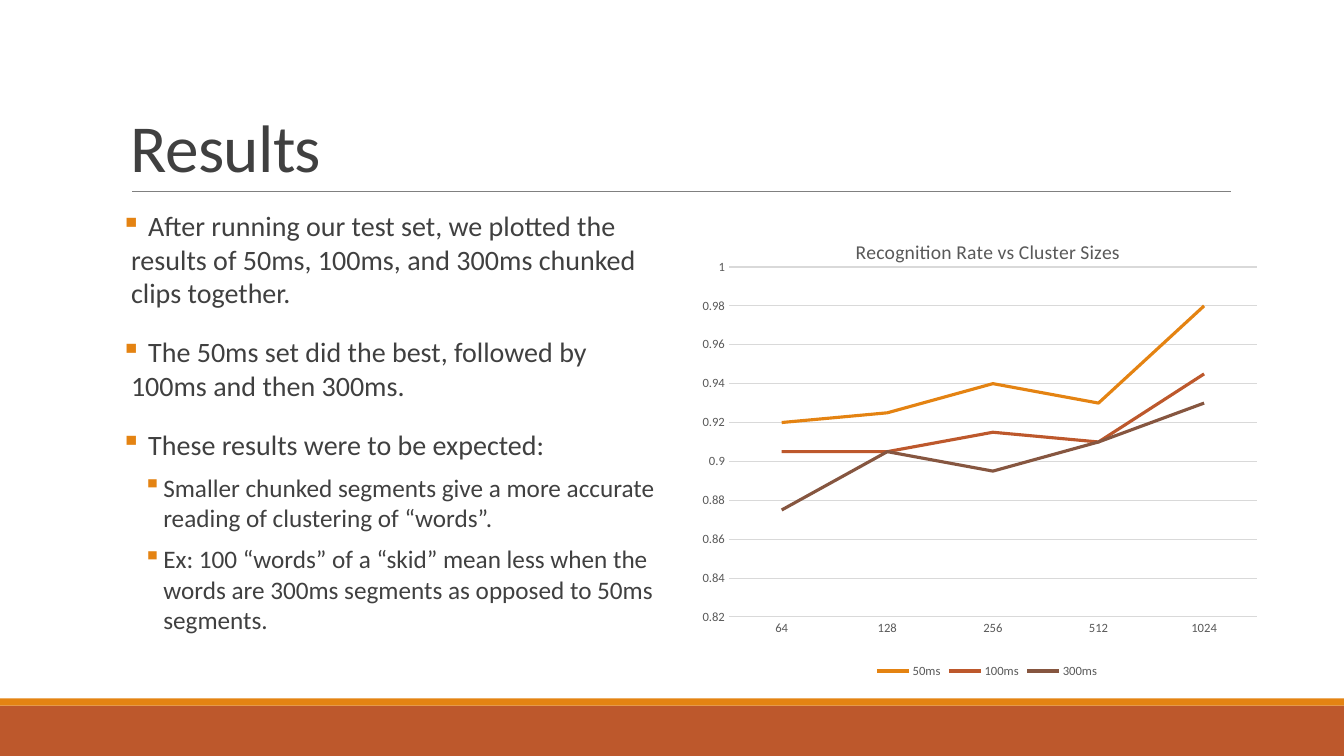
"""Build the Results slide: findings beside a chart of recognition rates."""
from pptx import Presentation
from pptx.chart.data import CategoryChartData as Data
from pptx.dml.color import RGBColor as RGB
from pptx.enum.chart import XL_CHART_TYPE as KIND, XL_LEGEND_POSITION as SPOT, XL_TICK_MARK as TICK
from pptx.enum.shapes import MSO_CONNECTOR as CONN, MSO_SHAPE as SHAPE
from pptx.enum.text import MSO_ANCHOR as ANCHOR
from pptx.oxml import parse_xml
from pptx.oxml.ns import nsdecls, qn
from pptx.util import Emu, Pt

FONT = "Calibri"
HEX = {"text": "404040", "label": "595959", "grid": "D9D9D9", "rule": "808080",
       "orange": "E48312", "rust": "BD582C", "brown": "865640"}
TITLE = "Results"
POINTS = [
    (0, " After running our test set, we plotted the results of 50ms, 100ms, and 300ms chunked clips together."),
    (0, " The 50ms set did the best, followed by 100ms and then 300ms."),
    (0, " These results were to be expected:"),
    (1, "Smaller chunked segments give a more accurate reading of clustering of “words”."),
    (1, "Ex: 100 “words” of a “skid” mean less when the words are 300ms segments as opposed to 50ms segments."),
]
LEVELS = [{"size": 20, "left": 10, "hang": 10, "before": 12},
          {"size": 18, "left": 42, "hang": 20, "before": 2}]
HEAD = "Recognition Rate vs Cluster Sizes"
SIZES = ["64", "128", "256", "512", "1024"]
RATES = [("50ms", "orange", (0.92, 0.925, 0.94, 0.93, 0.98)),
         ("100ms", "rust", (0.905, 0.905, 0.915, 0.91, 0.945)),
         ("300ms", "brown", (0.875, 0.905, 0.895, 0.91, 0.93))]
BANDS = [("rust", (0, 700, 1333, 50)), ("orange", (0, 693, 1333, 7))]


def px(n):
    return Emu(n * 9144)


def hue(name):
    return RGB.from_string(HEX[name])


def style(font, size, name):
    font.name, font.size, font.bold = FONT, Pt(size), False
    font.color.rgb = hue(name)


def stroke(line, name, width):
    line.color.rgb = hue(name)
    line.width = Pt(width)


def add_band(slide, name, box):
    band = slide.shapes.add_shape(SHAPE.RECTANGLE, *map(px, box))
    band.shadow.inherit = False
    band.fill.solid()
    band.fill.fore_color.rgb = hue(name)
    band.line.fill.background()


def add_rule(slide):
    rule = slide.shapes.add_connector(CONN.STRAIGHT, px(131), px(190), px(1221), px(190))
    stroke(rule.line, "rule", 0.5)
    rule._element.spPr.append(parse_xml(f"<a:effectLst {nsdecls('a')}/>"))


def add_frame(slide, box):
    frame = slide.shapes.add_textbox(*map(px, box)).text_frame
    frame.word_wrap = True
    return frame


def add_title(slide):
    frame = add_frame(slide, (120, 31, 1100, 159))
    frame.vertical_anchor = ANCHOR.BOTTOM
    para = frame.paragraphs[0]
    para.line_spacing = 0.85
    run = para.add_run()
    run.text = TITLE
    style(run.font, 48, "text")
    run._r.get_or_add_rPr().set("spc", "-50")


def add_points(slide):
    frame = add_frame(slide, (120, 202, 540, 440))
    frame.margin_left = frame.margin_right = 0
    for i, (level, text) in enumerate(POINTS):
        look = LEVELS[level]
        para = frame.add_paragraph() if i else frame.paragraphs[0]
        para.level = level
        para.space_before, para.space_after = Pt(look["before"]), Pt(6)
        props = para._p.get_or_add_pPr()
        props.set("marL", str(px(look["left"])))
        props.set("indent", str(-px(look["hang"])))
        props.append(parse_xml(f'<a:buClr {nsdecls("a")}><a:srgbClr val="{HEX["orange"]}"/></a:buClr>'))
        props.append(parse_xml(f'<a:buChar {nsdecls("a")} char="▪"/>'))
        run = para.add_run()
        run.text = text
        style(run.font, look["size"], "text")


def layout(x, y, w=None, h=None):
    tags = '<c:layoutTarget val="inner"/>' if w else ""
    tags += '<c:xMode val="edge"/><c:yMode val="edge"/>'
    for tag, val in zip("xywh", (x, y, w, h)):
        tags += f'<c:{tag} val="{val}"/>' if val else ""
    return parse_xml(f"<c:layout {nsdecls('c')}><c:manualLayout>{tags}</c:manualLayout></c:layout>")


def place(node, item):
    for old in node.findall(qn("c:layout")):
        node.remove(old)
    text = node.find(qn("c:tx"))
    node.insert(0 if text is None else 1, item)


def add_rates(slide):
    data = Data()
    data.categories = SIZES
    for name, _, vals in RATES:
        data.add_series(name, vals)
    box = map(px, (688, 214, 582, 463))
    chart = slide.shapes.add_chart(KIND.LINE, *box, data).chart
    style(chart.font, 9, "label")

    run = chart.chart_title.text_frame.paragraphs[0].add_run()
    run.text = HEAD
    style(run.font, 14, "label")
    place(chart.chart_title._element, layout(0.27, 0.04))
    place(chart._chartSpace.chart.plotArea, layout(0.06, 0.11, 0.9, 0.75))

    chart.has_legend = True
    chart.legend.position = SPOT.BOTTOM
    chart.legend.include_in_layout = False
    style(chart.legend.font, 9, "label")

    cat, val = chart.category_axis, chart.value_axis
    for axis in (cat, val):
        axis.major_tick_mark = axis.minor_tick_mark = TICK.NONE
        style(axis.tick_labels.font, 9, "label")
    stroke(cat.format.line, "grid", 0.75)
    val.format.line.fill.background()
    stroke(val.major_gridlines.format.line, "grid", 0.75)
    val.minimum_scale, val.maximum_scale, val.major_unit = 0.82, 1, 0.02

    chart.plots[0].vary_by_categories = False
    for line, (_, name, _) in zip(chart.plots[0].series, RATES):
        line.smooth = False
        stroke(line.format.line, name, 2.25)


def main():
    deck = Presentation()
    deck.slide_width, deck.slide_height = px(1333), px(750)
    slide = deck.slides.add_slide(deck.slide_layouts[6])
    for name, box in BANDS:
        add_band(slide, name, box)
    add_rule(slide)
    add_title(slide)
    add_points(slide)
    add_rates(slide)
    deck.save("out.pptx")


if __name__ == "__main__":
    main()
